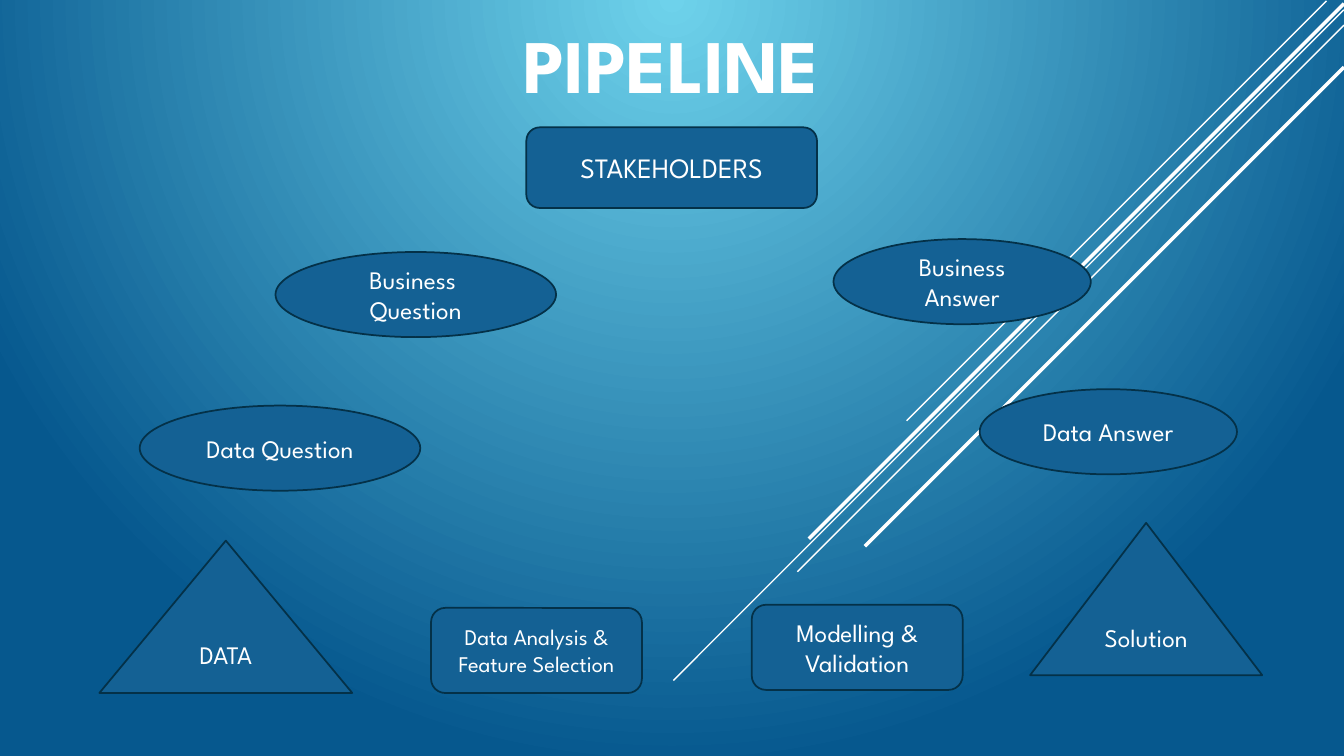
"""Build the pipeline slide, from stakeholders down to data and back."""
from dataclasses import dataclass
from typing import NamedTuple

from lxml.etree import SubElement
from pptx import Presentation
from pptx.dml.color import RGBColor
from pptx.enum.shapes import MSO_CONNECTOR, MSO_SHAPE
from pptx.enum.text import MSO_ANCHOR, PP_ALIGN
from pptx.oxml.ns import qn
from pptx.slide import Slide
from pptx.text.text import TextFrame
from pptx.util import Pt


@dataclass(frozen=True)
class Theme:
    font: str = "League Spartan"
    white: RGBColor = RGBColor(0xFF, 0xFF, 0xFF)
    fill: RGBColor = RGBColor(0x14, 0x61, 0x94)
    edge: RGBColor = RGBColor(0x04, 0x31, 0x48)
    glow: RGBColor = RGBColor(0x6E, 0xD2, 0xEB)
    deep: RGBColor = RGBColor(0x06, 0x58, 0x8E)
    title: int = 54
    head: int = 20
    body: int = 18
    small: int = 16
    border: float = 1.25


class Ray(NamedTuple):
    left: float
    top: float
    run: float
    weight: float


class Node(NamedTuple):
    kind: MSO_SHAPE
    left: float
    top: float
    width: float
    height: float
    lines: tuple[str, ...]
    size: int


THEME = Theme()
OVAL, BOX, PEAK = MSO_SHAPE.OVAL, MSO_SHAPE.ROUNDED_RECTANGLE, MSO_SHAPE.ISOSCELES_TRIANGLE
ROW = 60.8
ASK, REPLY, STEP, RISE = 200.4, 183.8, 150.6, 108.8

RAYS = [
    Ray(947.5, 0.7, 299.9, 1),
    Ray(960, 7, 479, 1),
    Ray(960, 18, 390.4, 1),
    Ray(960, 2.6, 382.2, 2.5),
    Ray(960, 48, 342.2, 2.5),
]

NODES = [
    Node(BOX, 376, 91, 207.6, 57.6, ("STAKEHOLDERS",), THEME.head),
    Node(OVAL, 196.8, 180, ASK, ROW, ("Business ", "Question"), THEME.body),
    Node(OVAL, 99.8, 289.7, ASK, ROW, ("Data Question",), THEME.body),
    Node(PEAK, 71, 386.2, 180.6, RISE, ("DATA",), THEME.body),
    Node(BOX, 307.9, 434.2, STEP, ROW, ("Data Analysis & Feature Selection",), THEME.small),
    Node(BOX, 537, 432, STEP, ROW, ("Modelling &", "Validation"), THEME.body),
    Node(PEAK, 735.8, 373.5, 165.8, RISE, ("Solution",), THEME.body),
    Node(OVAL, 595.4, 170.8, REPLY, ROW, ("Business Answer",), THEME.body),
    Node(OVAL, 699.8, 278, REPLY, ROW, ("Data Answer",), THEME.body),
]


def paint(slide: Slide) -> None:
    """Fill the background with a glow from the top centre."""
    fill = slide.background.fill
    fill.gradient()
    for stop, hue in zip(fill.gradient_stops, (THEME.glow, THEME.deep)):
        stop.color.rgb = hue
    grad = slide.element.find(".//" + qn("a:gradFill"))
    grad.remove(grad.find(qn("a:lin")))
    ring = SubElement(grad, qn("a:path"), {"path": "circle"})
    SubElement(ring, qn("a:fillToRect"), {"l": "0", "t": "0", "r": "0", "b": "100000"})


def write(frame: TextFrame, lines: tuple[str, ...], size: int,
          align: PP_ALIGN, bold: bool = False) -> None:
    """Write one paragraph for each line."""
    frame.word_wrap = True
    for rank, line in enumerate(lines):
        para = frame.add_paragraph() if rank else frame.paragraphs[0]
        para.alignment = align
        run = para.add_run()
        run.text = line
        run.font.name = THEME.font
        run.font.size = Pt(size)
        run.font.bold = bold
        run.font.color.rgb = THEME.white


def cast(slide: Slide, ray: Ray) -> None:
    """Draw a diagonal ray falling to the left."""
    line = slide.shapes.add_connector(
        MSO_CONNECTOR.STRAIGHT, Pt(ray.left), Pt(ray.top),
        Pt(ray.left - ray.run), Pt(ray.top + ray.run))
    line.line.color.rgb = THEME.white
    line.line.width = Pt(ray.weight)
    SubElement(line.element.spPr, qn("a:effectLst"))


def place(slide: Slide, node: Node) -> None:
    """Draw a labelled stage."""
    shape = slide.shapes.add_shape(
        node.kind, Pt(node.left), Pt(node.top), Pt(node.width), Pt(node.height))
    shape.shadow.inherit = False
    shape.fill.solid()
    shape.fill.fore_color.rgb = THEME.fill
    shape.line.color.rgb = THEME.edge
    shape.line.width = Pt(THEME.border)
    shape.text_frame.vertical_anchor = MSO_ANCHOR.MIDDLE
    write(shape.text_frame, node.lines, node.size, PP_ALIGN.CENTER)


def main() -> None:
    """Build and save the deck."""
    deck = Presentation()
    deck.slide_width, deck.slide_height = Pt(960), Pt(540)
    slide = deck.slides.add_slide(deck.slide_layouts[6])
    paint(slide)
    for ray in RAYS:
        cast(slide, ray)
    title = slide.shapes.add_textbox(Pt(366.5), Pt(5.8), Pt(226.8), Pt(75.6)).text_frame
    title.vertical_anchor = MSO_ANCHOR.BOTTOM
    write(title, ("PIPELINE",), THEME.title, PP_ALIGN.LEFT, bold=True)
    for node in NODES:
        place(slide, node)
    deck.save("out.pptx")


if __name__ == "__main__":
    main()
